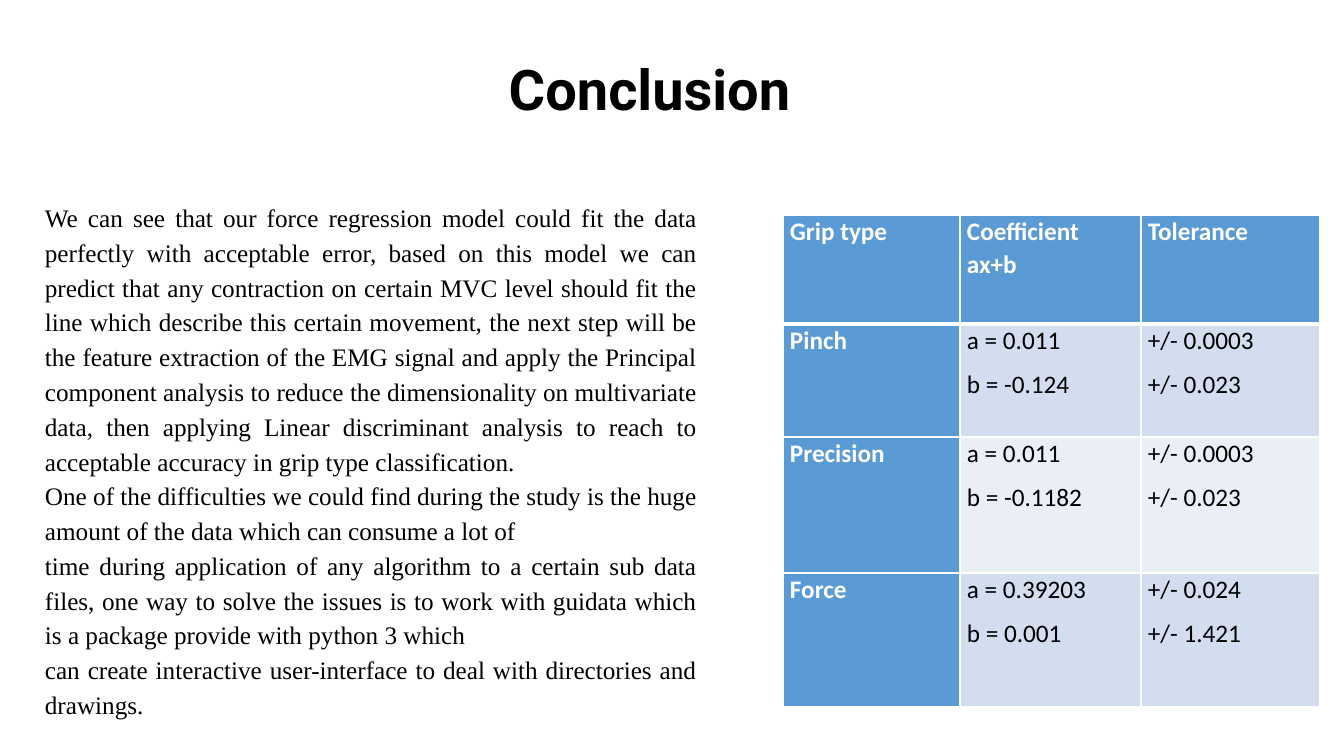
from lxml.etree import SubElement
from pptx import Presentation
from pptx.dml.color import RGBColor
from pptx.enum.text import MSO_ANCHOR, PP_ALIGN
from pptx.oxml.ns import qn
from pptx.util import Emu, Pt

# Content
SLIDE_SIZE = (1344, 756)
TITLE = "Conclusion "
TITLE_BOX = (77, 19, 1159, 146)
BODY_BOX = (35, 193, 672, 572)
BODY = [
    "We can see that our force regression model could fit the data perfectly with "
    "acceptable error, based on this model we can predict that any contraction on "
    "certain MVC level should fit the line which describe this certain movement, "
    "the next step will be the feature extraction of the EMG signal and apply the "
    "Principal component analysis to reduce the dimensionality on multivariate data, "
    "then applying Linear discriminant analysis to reach to acceptable accuracy in "
    "grip type classification.",
    "One of the difficulties we could find during the study is the huge amount of "
    "the data which can consume a lot of",
    "time during application of any algorithm to a certain sub data files, one way "
    "to solve the issues is to work with guidata which is a package provide with "
    "python 3 which",
    "can create interactive user-interface to deal with directories and drawings.",
]
GRIP_ROWS = [
    (["Grip type"], ["Coefficient ax+b"], ["Tolerance"]),
    (["Pinch"], ["a = 0.011", "b = -0.124"], ["+/- 0.0003", "+/- 0.023"]),
    (["Precision"], ["a = 0.011", "b = -0.1182"], ["+/- 0.0003", "+/- 0.023"]),
    (["Force"], ["a = 0.39203", "b = 0.001"], ["+/- 0.024", "+/- 1.421"]),
]
GRIP_ORIGIN = (783, 215)
COLUMN_WIDTHS = [177, 181, 179]
ROW_HEIGHTS = [109, 113, 136, 134]
CELL_MARGIN = 7
BLACK, WHITE, BLUE = "000000", "FFFFFF", "5B9BD5"
BANDS = ["EAEFF7", "D2DEEF"]


def px(length):
    return Emu(round(length * 914400 / 100.8))


def rgb(value):
    return RGBColor.from_string(value)


def write(frame, paragraphs, font, size, color=BLACK, bold=False,
          align=PP_ALIGN.LEFT, spacing=1.0, after=0):
    frame.word_wrap = True
    for i, text in enumerate(paragraphs):
        paragraph = frame.paragraphs[0] if i == 0 else frame.add_paragraph()
        paragraph.alignment = align
        paragraph.line_spacing = spacing
        paragraph.space_before, paragraph.space_after = Pt(0), Pt(after)
        run = paragraph.add_run()
        run.text = text
        run.font.name, run.font.size, run.font.bold = font, Pt(size), bold
        run.font.color.rgb = rgb(color)


def add_borders(cell, bottom):
    properties = cell._tc.get_or_add_tcPr()
    for side, width in (("L", 1), ("R", 1), ("T", 1), ("B", bottom)):
        line = SubElement(properties, qn(f"a:ln{side}"), w=str(Pt(width)))
        fill = SubElement(line, qn("a:solidFill"))
        SubElement(fill, qn("a:srgbClr"), val=WHITE)


def add_grip_table(slide):
    size = (sum(COLUMN_WIDTHS), sum(ROW_HEIGHTS))
    grip = slide.shapes.add_table(len(ROW_HEIGHTS), len(COLUMN_WIDTHS),
                                  *map(px, GRIP_ORIGIN + size)).table
    for column, width in zip(grip.columns, COLUMN_WIDTHS):
        column.width = px(width)
    for r, (row, height) in enumerate(zip(GRIP_ROWS, ROW_HEIGHTS)):
        grip.rows[r].height = px(height)
        for c, lines in enumerate(row):
            cell = grip.cell(r, c)
            heading = r == 0 or c == 0
            cell.margin_left = cell.margin_right = px(CELL_MARGIN)
            cell.margin_top = cell.margin_bottom = 0
            # A thick rule separates the header from the rows below
            add_borders(cell, bottom=3 if r == 0 else 1)
            cell.fill.solid()
            cell.fill.fore_color.rgb = rgb(BLUE if heading else BANDS[r % 2])
            write(cell.text_frame, lines, "Calibri", 18, bold=heading,
                  color=WHITE if heading else BLACK, spacing=1.06, after=8)


def main():
    prs = Presentation()
    prs.slide_width, prs.slide_height = map(px, SLIDE_SIZE)
    slide = prs.slides.add_slide(prs.slide_layouts[5])

    # Title
    title = slide.shapes.title
    title.left, title.top, title.width, title.height = map(px, TITLE_BOX)
    title.text_frame.vertical_anchor = MSO_ANCHOR.MIDDLE
    write(title.text_frame, [TITLE], "Roboto", 40, bold=True,
          align=PP_ALIGN.CENTER, spacing=0.9)

    # Results table
    add_grip_table(slide)

    # Closing remarks
    remarks = slide.shapes.add_textbox(*map(px, BODY_BOX))
    write(remarks.text_frame, BODY, "Times New Roman", 18,
          align=PP_ALIGN.JUSTIFY, spacing=1.15)

    prs.save("out.pptx")


if __name__ == "__main__":
    main()
